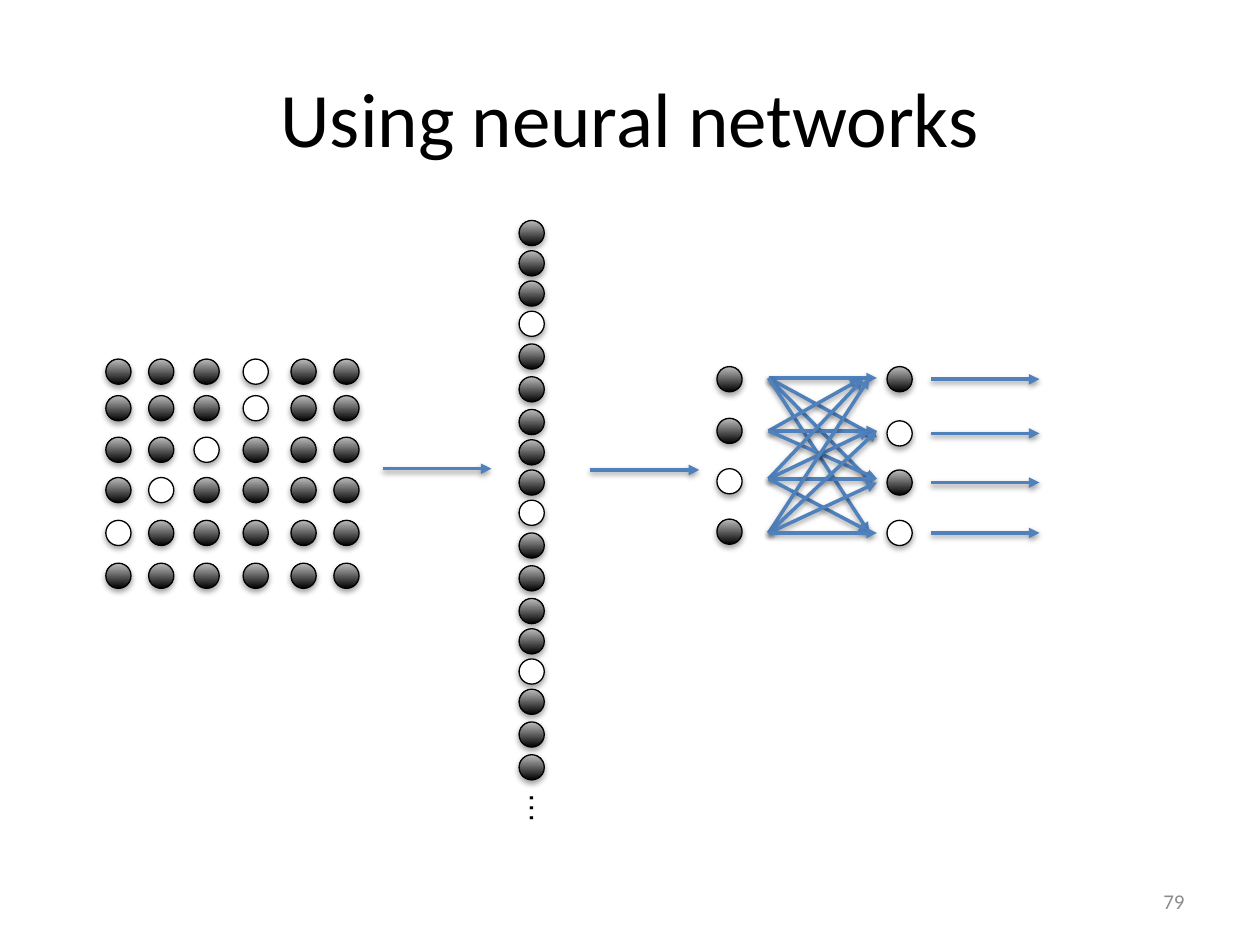
from lxml import etree
from pptx import Presentation, util as u
from pptx.dml.color import RGBColor
from pptx.enum import shapes, text
from pptx.oxml import ns

COLORS = {"ink": "000000", "sheen": "BDBDBD", "off": "FFFFFF", "arrow": "4F81BD", "number": "8C8C8C"}
GRID_COLUMNS, GRID_ROWS = 100, 75
CELL = u.Inches(10) // GRID_COLUMNS
DOT = 2

PIXEL_COLUMNS = [8.4, 11.8, 15.4, 19.3, 23.1, 26.5]
PIXEL_ROWS = [28.5, 31.4, 34.7, 37.9, 41.3, 44.7]
WHITE_COLUMN = [3, 3, 2, 1, 0, None]

VECTOR_COLUMN, VECTOR_TOP, VECTOR_BLOCK = 41.2, 17.5, 15
VECTOR_STEPS = [0, 2.4, 4.8, 7.2, 9.8, 12.4]

INPUT_COLUMN, INPUT_ROWS, INPUT_WHITE = 56.9, [29.1, 33.2, 37.2, 41.2], [2]
OUTPUT_COLUMN, OUTPUT_ROWS, OUTPUT_WHITE = 70.4, [29.1, 33.4, 37.3, 41.3], [1, 3]

WEIGHT_COLUMN, WEIGHT_ROWS = 61, [30, 34.2, 38, 42.3]
WEIGHT_ENDS = [
    [(69.6, 30), (69.6, 34.7), (69.2, 38.3), (69, 42.3)],
    [(68.3, 30.1), (69.6, 34.2), (69.6, 38)],
    [(68.5, 30.1), (69, 34.2), (69.6, 38), (69, 42.2)],
    [(69, 30), (69.6, 34.2), (69.6, 38.3), (69.6, 42.3)],
]


def cells(*counts):
    return [round(count * CELL) for count in counts]


def color(name):
    return RGBColor.from_string(COLORS[name])


def apply(target, values):
    for name, value in values.items():
        setattr(target, name, value)


def place(shape, left, top, width, height):
    apply(shape, dict(zip(("left", "top", "width", "height"), cells(left, top, width, height))))


def add_shadow(effects, opacity, distance):
    shadow = etree.SubElement(effects, ns.qn("a:outerShdw"), blurRad="40000",
                              dist=str(distance), dir="5400000", rotWithShape="0")
    ink = etree.SubElement(shadow, ns.qn("a:srgbClr"), val=COLORS["ink"])
    etree.SubElement(ink, ns.qn("a:alpha"), val=str(opacity * 1000))


def add_neuron(slide, left, top, white=False):
    neuron = slide.shapes.add_shape(shapes.MSO_SHAPE.OVAL, *cells(left, top, DOT, DOT))
    if white:
        neuron.fill.solid()
        neuron.fill.fore_color.rgb = color("off")
    else:
        neuron.fill.gradient()
        neuron.fill.gradient_angle = 90
        for stop, name in zip(neuron.fill.gradient_stops, ("ink", "sheen")):
            stop.color.rgb = color(name)
    neuron.line.color.rgb = color("ink")
    neuron.line.width = u.Pt(0.75)
    neuron.shadow.inherit = False
    add_shadow(neuron._element.spPr.find(ns.qn("a:effectLst")), 35, 23000)


def add_arrow(slide, start, end):
    arrow = slide.shapes.add_connector(shapes.MSO_CONNECTOR.STRAIGHT, *cells(*start, *end))
    arrow.line.color.rgb = color("arrow")
    arrow.line.width = u.Pt(2)
    etree.SubElement(arrow.line._get_or_add_ln(), ns.qn("a:tailEnd"), type="triangle")
    add_shadow(etree.SubElement(arrow._element.spPr, ns.qn("a:effectLst")), 38, 20000)


def write(shape, words, size, font, ink, frame_format, alignment):
    frame = shape.text_frame
    frame.text = words
    apply(frame, {"word_wrap": True, **frame_format})
    paragraph = frame.paragraphs[0]
    paragraph.alignment = alignment
    apply(paragraph.font, {"size": u.Pt(size), "name": font})
    paragraph.font.color.rgb = color(ink)


def add_layer(slide, left, rows, white_rows):
    for index, top in enumerate(rows):
        add_neuron(slide, left, top, index in white_rows)


def add_pixel_grid(slide):
    for top, white in zip(PIXEL_ROWS, WHITE_COLUMN):
        for index, left in enumerate(PIXEL_COLUMNS):
            add_neuron(slide, left, top, index == white)


def add_vector(slide):
    for block, white in enumerate(WHITE_COLUMN[:3]):
        rows = [VECTOR_TOP + block * VECTOR_BLOCK + step for step in VECTOR_STEPS]
        add_layer(slide, VECTOR_COLUMN, rows, [white])
    ellipsis = slide.shapes.add_textbox(*cells(40.3, 62.7, 5.5, 4))
    write(ellipsis, "…", 18, "Arial", "ink",
          {"auto_size": text.MSO_AUTO_SIZE.SHAPE_TO_FIT_TEXT}, text.PP_ALIGN.LEFT)
    ellipsis.rotation = 90


def add_network(slide):
    add_layer(slide, INPUT_COLUMN, INPUT_ROWS, INPUT_WHITE)
    for row, ends in zip(WEIGHT_ROWS, WEIGHT_ENDS):
        for end in ends:
            add_arrow(slide, (WEIGHT_COLUMN, row), end)
    add_layer(slide, OUTPUT_COLUMN, OUTPUT_ROWS, OUTPUT_WHITE)
    for top in OUTPUT_ROWS:
        middle = top + DOT / 2
        add_arrow(slide, (73.9, middle), (82.5, middle))


def main():
    presentation = Presentation()
    presentation.slide_width, presentation.slide_height = cells(GRID_COLUMNS, GRID_ROWS)
    slide = presentation.slides.add_slide(presentation.slide_layouts[5])
    middle = {"vertical_anchor": text.MSO_ANCHOR.MIDDLE}

    title = slide.shapes.title
    place(title, 5, 3, 90, 12.5)
    write(title, "Using neural networks", 44, "Calibri", "ink", middle, text.PP_ALIGN.CENTER)
    number = slide.shapes.add_textbox(*cells(71.7, 69.5, 23.3, 4))
    write(number, "79", 12, "Calibri", "number", middle, text.PP_ALIGN.RIGHT)

    add_pixel_grid(slide)
    add_arrow(slide, (30.4, 37.2), (39, 37.2))
    add_vector(slide)
    add_arrow(slide, (46.8, 37.3), (55.5, 37.3))
    add_network(slide)
    presentation.save("out.pptx")


if __name__ == "__main__":
    main()
